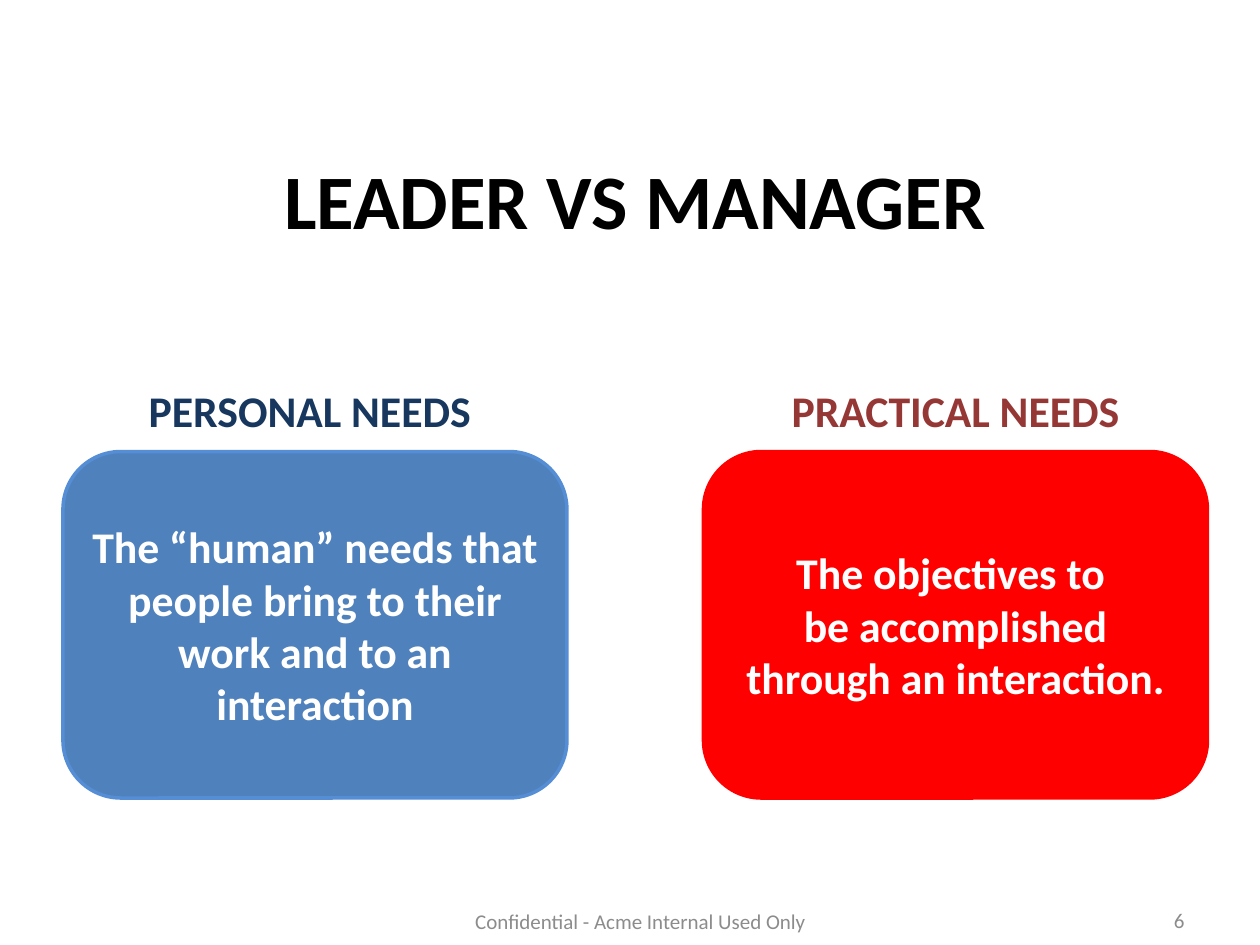
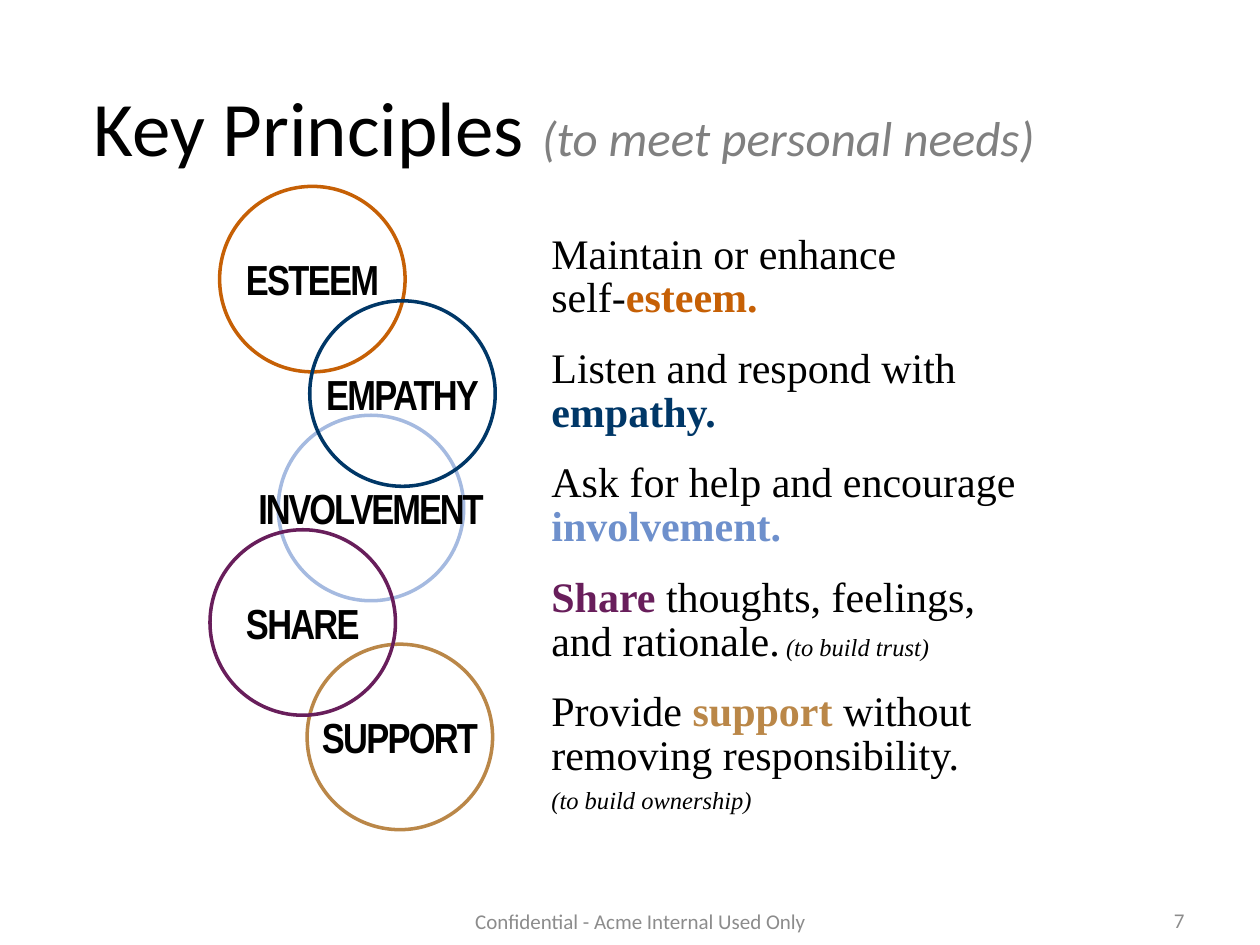
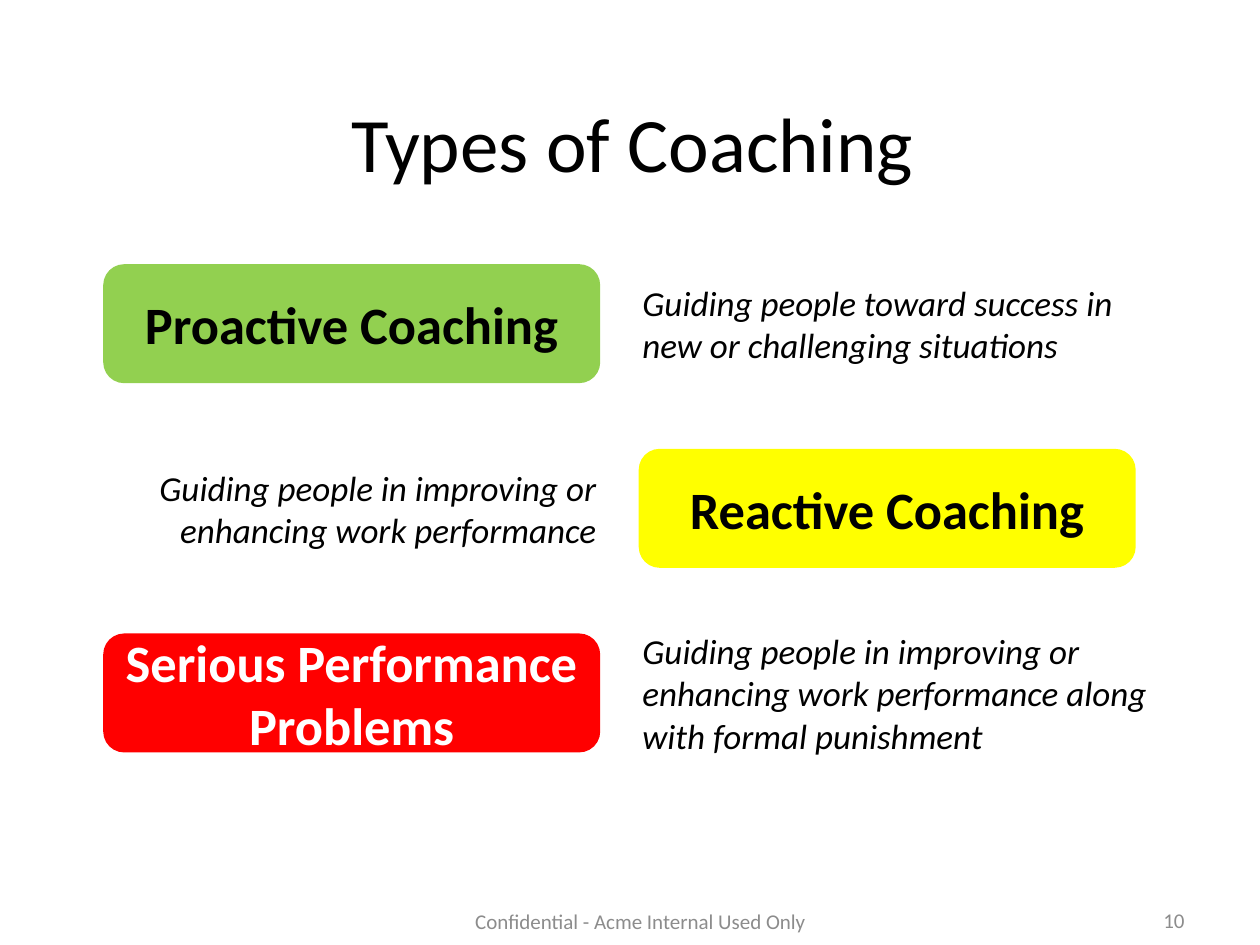
import dataclasses

import pptx
import pptx.dml.color
import pptx.enum.shapes
import pptx.enum.text
import pptx.util

Pt = pptx.util.Pt
SHAPES = pptx.enum.shapes.MSO_SHAPE
ALIGN = pptx.enum.text.PP_ALIGN
ANCHOR = pptx.enum.text.MSO_ANCHOR


@dataclasses.dataclass(frozen=True)
class Theme:
    # Fonts
    sans: str = "Calibri"
    serif: str = "Times New Roman"
    narrow: str = "Arial Narrow"
    # Colours
    black: str = "000000"
    white: str = "FFFFFF"
    grey: str = "808080"
    footer_grey: str = "8C8C8C"
    blue: str = "4F81BD"
    blue_edge: str = "558ED5"
    navy: str = "17375E"
    maroon: str = "953735"
    red: str = "FF0000"
    green: str = "92D050"
    yellow: str = "FFFF00"
    esteem: str = "C66005"
    empathy: str = "003767"
    involvement: str = "6E90CC"
    involvement_ring: str = "A5BAE0"
    share: str = "681E5B"
    support: str = "BA8748"
    # Type sizes and line width
    title: int = 44
    subtitle: int = 28
    button: int = 30
    card: int = 25
    principle: int = 24
    guide: int = 20
    note: int = 14
    footer: int = 12
    line: int = 2


T = Theme()


def rgb(colour):
    return pptx.dml.color.RGBColor.from_string(colour)


def add_run(p, text, size, font, color, bold=False, italic=False, spacing=0):
    r = p.add_run()
    r.text = text
    r.font.name, r.font.size = font, Pt(size)
    r.font.bold, r.font.italic = bold, italic
    r.font.color.rgb = rgb(color)
    if spacing:
        r._r.get_or_add_rPr().set("spc", str(round(spacing * 100)))


def write(tf, text, align=ALIGN.LEFT, anchor=ANCHOR.TOP, leading=None, wrap=True, **style):
    """Add a paragraph; text is a string or a list of (text, style changes)."""
    tf.word_wrap = wrap
    tf.auto_size = pptx.enum.text.MSO_AUTO_SIZE.NONE
    tf.vertical_anchor = anchor
    p = tf.paragraphs[0] if not tf.text else tf.add_paragraph()
    p.alignment = align
    if leading:
        p.line_spacing = Pt(leading)
    base = dict(size=T.guide, font=T.sans, color=T.black) | style
    for part, changes in [(text, {})] if isinstance(text, str) else text:
        for i, line in enumerate(part.split("\n")):
            if i:
                p.add_line_break()
            if line:
                add_run(p, line, **(base | changes))


def add_text(s, box, text, **style):
    tf = s.shapes.add_textbox(*map(Pt, box)).text_frame
    write(tf, text, **style)
    return tf


def add_outline(s, kind, box, line, fill=None):
    sp = s.shapes.add_shape(kind, *map(Pt, box))
    sp.shadow.inherit = False
    sp.line.color.rgb, sp.line.width = rgb(line), Pt(T.line)
    if fill:
        sp.fill.solid()
        sp.fill.fore_color.rgb = rgb(fill)
    else:
        sp.fill.background()
    return sp


def add_button(s, box, text, fill, line=None, **style):
    sp = add_outline(s, SHAPES.ROUNDED_RECTANGLE, box, line or fill, fill)
    write(sp.text_frame, text, align=ALIGN.CENTER, anchor=ANCHOR.MIDDLE, bold=True, **style)


def new_slide(prs, number, title, title_box, **style):
    s = prs.slides.add_slide(prs.slide_layouts[5])
    # Title
    sp = s.shapes.title
    sp.left, sp.top, sp.width, sp.height = map(Pt, title_box)
    write(sp.text_frame, title, align=ALIGN.CENTER, anchor=ANCHOR.MIDDLE, size=T.title, **style)
    # Footer and slide number
    small = dict(anchor=ANCHOR.MIDDLE, size=T.footer, color=T.footer_grey)
    add_text(s, (210, 512, 312, 28.8), "Confidential - Acme Internal Used Only",
             align=ALIGN.CENTER, **small)
    add_text(s, (516, 511.2, 168, 28.8), str(number), align=ALIGN.RIGHT, **small)
    return s


def need_card(s, box, heading, heading_shift, heading_color, text, fill, line):
    x, y, w, h = box
    add_text(s, (x + heading_shift, y, 246, 37.5), heading, align=ALIGN.CENTER,
             size=T.card, color=heading_color, bold=True)
    add_button(s, (x, y + 42, w, h - 42), text, fill, line, size=T.card, color=T.white)


def needs_slide(prs):
    s = new_slide(prs, 6, "LEADER VS MANAGER", (18, 78, 690, 92), leading=32, bold=True)
    need_card(s, (36, 216, 288, 240), "PERSONAL NEEDS", 18, T.navy,
              "The “human” needs that people bring to their work and to an interaction",
              T.blue, T.blue_edge)
    need_card(s, (402, 216, 288, 240), "PRACTICAL NEEDS", 21, T.maroon,
              "The objectives to \nbe accomplished through an interaction.", T.red, T.red)


def ring(s, x, y, label, color, spacing=-1):
    size, label_h, label_w = 106, 36, 146
    add_outline(s, SHAPES.OVAL, (x, y, size, size), color)
    add_text(s, (x + (size - label_w) / 2, y + (size - label_h) / 2, label_w, label_h), label,
             align=ALIGN.CENTER, wrap=False, size=T.principle, font=T.narrow,
             bold=True, spacing=spacing)


def principle(s, box, runs, note=None):
    tf = add_text(s, box, runs, leading=25, size=T.principle, font=T.serif)
    if note:
        write(tf, note, leading=20, size=T.note, font=T.serif, italic=True)


def principles_slide(prs):
    title = [("Key Principles ", {}),
             ("(to meet personal needs) ", dict(size=T.subtitle, color=T.grey, italic=True))]
    s = new_slide(prs, 7, title, (34.5, 34, 582, 92), leading=36)
    pitch = 65.4

    # Rings, back to front: row, left, label, colour, letter spacing
    rings = [
        (4, 175.5, "SUPPORT", T.support, -1),
        (2, 159, "INVOLVEMENT", T.involvement_ring, -1.2),
        (0, 125.5, "ESTEEM", T.esteem, -1),
        (1, 177, "EMPATHY", T.empathy, -1),
        (3, 120, "SHARE", T.share, -1),
    ]
    for row, x, *look in rings:
        ring(s, x, 106.5 + row * pitch, *look)

    # Principles
    def key(color):
        return dict(color=color, bold=True)

    principles = [
        ([("Maintain or enhance\nself-", {}), ("esteem.", key(T.esteem))], None),
        ([("Listen and respond with\n", {}), ("empathy.", key(T.empathy))], None),
        ([("Ask for help and encourage\n", {}), ("involvement.", key(T.involvement))], None),
        ([("Share", key(T.share)), (" thoughts, feelings,\nand rationale.", {}),
          (" ", dict(size=T.note)), ("(to build trust)", dict(size=T.note, italic=True))], None),
        ([("Provide ", {}), ("support", key(T.support)),
          (" without\nremoving responsibility.", {})], "(to build ownership)"),
    ]
    for row, (runs, note) in enumerate(principles):
        principle(s, (308, 130 + row * pitch, 346, 80 if note else 60), runs, note)


def coaching_row(s, box, name, guide, fill, color, name_first):
    x, y, w, h = box
    button_w, guide_w, guide_h = 282, 312, 120
    button_x = x + 24 if name_first else x + w - button_w - 24
    guide_x = x + w - guide_w if name_first else x
    add_button(s, (button_x, y, button_w, h), name, fill, size=T.button, color=color)
    add_text(s, (guide_x, y + (h - guide_h) / 2, guide_w, guide_h), guide,
             align=ALIGN.LEFT if name_first else ALIGN.RIGHT,
             anchor=ANCHOR.MIDDLE, size=T.guide, italic=True)


def coaching_slide(prs):
    s = new_slide(prs, 10, "Types of Coaching", (37.5, 42, 648, 78))
    rows = [
        ("Proactive Coaching",
         "Guiding people toward success in new or challenging situations", T.green, T.black),
        ("Reactive Coaching",
         "Guiding people in improving or enhancing work performance", T.yellow, T.black),
        ("Serious Performance Problems",
         "Guiding people in improving or enhancing work performance along with formal punishment",
         T.red, T.white),
    ]
    for i, row in enumerate(rows):
        coaching_row(s, (36, 152 + i * 105.5, 636, 66), *row, name_first=i % 2 == 0)


def main():
    prs = pptx.Presentation()
    prs.slide_width, prs.slide_height = Pt(720), Pt(540)
    needs_slide(prs)
    principles_slide(prs)
    coaching_slide(prs)
    prs.save("out.pptx")


if __name__ == "__main__":
    main()
